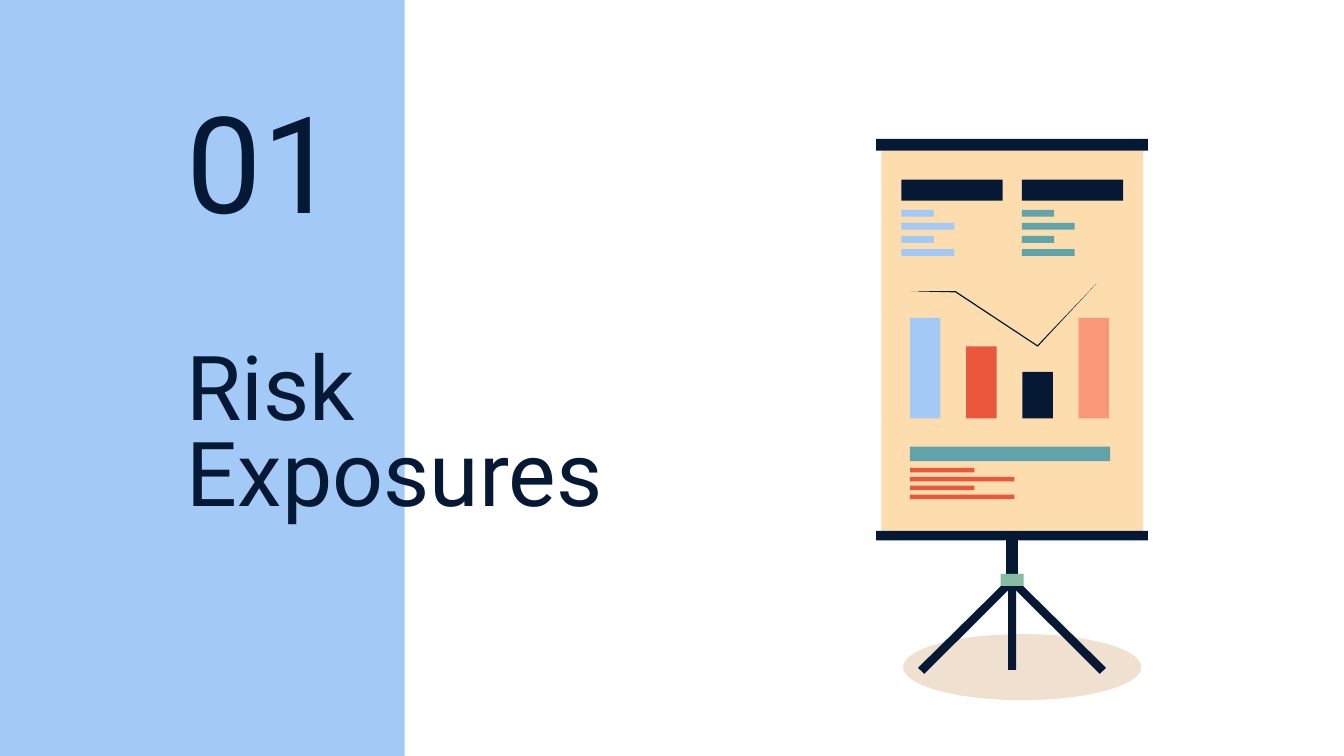
import pptx
import pptx.dml.color
import pptx.enum.shapes
import pptx.enum.text
import pptx.oxml
import pptx.oxml.ns
import pptx.util

Pt = pptx.util.Pt
RGBColor = pptx.dml.color.RGBColor
MSO_SHAPE = pptx.enum.shapes.MSO_SHAPE
MSO_ANCHOR = pptx.enum.text.MSO_ANCHOR

NAVY = RGBColor(0x05, 0x19, 0x34)
BLUE = RGBColor(0xA3, 0xCA, 0xF7)
TEAL = RGBColor(0x5F, 0xA4, 0xAB)
RED = RGBColor(0xEB, 0x57, 0x3D)
SALMON = RGBColor(0xFA, 0x97, 0x78)
CREAM = RGBColor(0xFD, 0xDC, 0xAE)
GREEN = RGBColor(0x85, 0xBC, 0xA2)
BROWN = RGBColor(0xB4, 0x5F, 0x06)


class Deck:
    font = "Roboto"
    inset = Pt(7.2)

    def __init__(self, width, height):
        self.prs = pptx.Presentation()
        self.prs.slide_width, self.prs.slide_height = Pt(width), Pt(height)
        self.s = self.prs.slides.add_slide(self.prs.slide_layouts[6])
        self.shapes = self.s.shapes

    def start_group(self):
        """Put the shapes that follow into a new group."""
        self.shapes = self.s.shapes.add_group_shape().shapes

    def paint(self, sp, color):
        sp.shadow.inherit = False
        sp.fill.solid()
        sp.fill.fore_color.rgb = color
        sp.line.fill.background()
        return sp

    def shape(self, x, y, w, h, color, kind=MSO_SHAPE.RECTANGLE, alpha=None):
        sp = self.shapes.add_shape(kind, Pt(x), Pt(y), Pt(w), Pt(h))
        self.paint(sp, color)
        if alpha is not None:
            clr = sp.fill._xPr.find(".//" + pptx.oxml.ns.qn("a:srgbClr"))
            a = pptx.oxml.parse_xml(
                f'<a:alpha {pptx.oxml.ns.nsdecls("a")} val="{alpha * 1000}"/>')
            clr.append(a)

    def polygon(self, points, color):
        start, *rest = [(Pt(x), Pt(y)) for x, y in points]
        builder = self.shapes.build_freeform(*start)
        builder.add_line_segments(rest, close=True)
        self.paint(builder.convert_to_shape(), color)

    def text(self, x, y, w, h, text, size, anchor, spacing=None):
        tf = self.shapes.add_textbox(Pt(x), Pt(y), Pt(w), Pt(h)).text_frame
        tf.word_wrap = True
        tf.vertical_anchor = anchor
        tf.margin_left = tf.margin_right = self.inset
        tf.margin_top = tf.margin_bottom = self.inset
        tf.text = text
        p = tf.paragraphs[0]
        p.line_spacing = spacing
        for r in p.runs:
            r.font.name = self.font
            r.font.size = Pt(size)
            r.font.color.rgb = NAVY

    def text_lines(self, x, y, pitch, height, widths, color):
        """Stack thin bars that stand for lines of writing."""
        for i, width in enumerate(widths):
            self.shape(x, y + i * pitch, width, height, color)


def draw_stand(deck):
    left_leg = [(540.7, 309.6), (491.8, 357.8), (495.2, 361), (543.8, 312.6)]
    deck.polygon(left_leg, NAVY)
    axis = 542.2
    deck.polygon([(2 * axis - x, y) for x, y in left_leg], NAVY)
    for width, top, height, color in [(4.3, 304, 55, NAVY),
                                      (6.4, 284.4, 29.6, NAVY),
                                      (12.4, 307.5, 6.4, GREEN)]:
        deck.shape(axis - width / 2, top, width, height, color)


def draw_board(deck):
    deck.shape(472.2, 80.6, 140.3, 204, CREAM)
    for top, height in [(284.4, 5.2), (74.4, 6.4)]:
        deck.shape(469.4, top, 145.6, height, NAVY)

    for left, color in [(482.9, BLUE), (547.4, TEAL)]:
        deck.shape(left, 96.2, 54.3, 11.4, NAVY)
        deck.text_lines(left, 112.4, 7, 3.7, [17.4, 28.4] * 2, color)

    left, base = 487.5, 224.2
    deck.shape(left, 239.3, 107.2, 7.8, TEAL)
    deck.text_lines(left, 250.7, 4.75, 2.4, [34.5, 56] * 2, RED)

    bars = [(53.8, BLUE), (38.6, RED), (25, NAVY), (53.8, SALMON)]
    for i, (height, color) in enumerate(bars):
        deck.shape(left + i * 30.1, base - height, 16.3, height, color)

    trend = [(587.3, 152), (555.8, 185), (512, 156),
             (left, 156.1), (511.8, 156.7), (555.9, 185.8)]
    deck.polygon(trend, NAVY)


def main():
    deck = Deck(720, 405)
    deck.shape(-1.2, -1.2, 218, 407, BLUE)
    deck.shape(483.8, 339.7, 127.6, 35.4, BROWN, MSO_SHAPE.OVAL, alpha=19)
    deck.text(93, 201.6, 305, 66.2, "Risk\vExposures", 48, MSO_ANCHOR.MIDDLE, 0.8)
    deck.text(93, 74.2, 198, 62, "01", 72, MSO_ANCHOR.BOTTOM)
    deck.start_group()
    draw_stand(deck)
    draw_board(deck)
    deck.prs.save("out.pptx")


if __name__ == "__main__":
    main()
